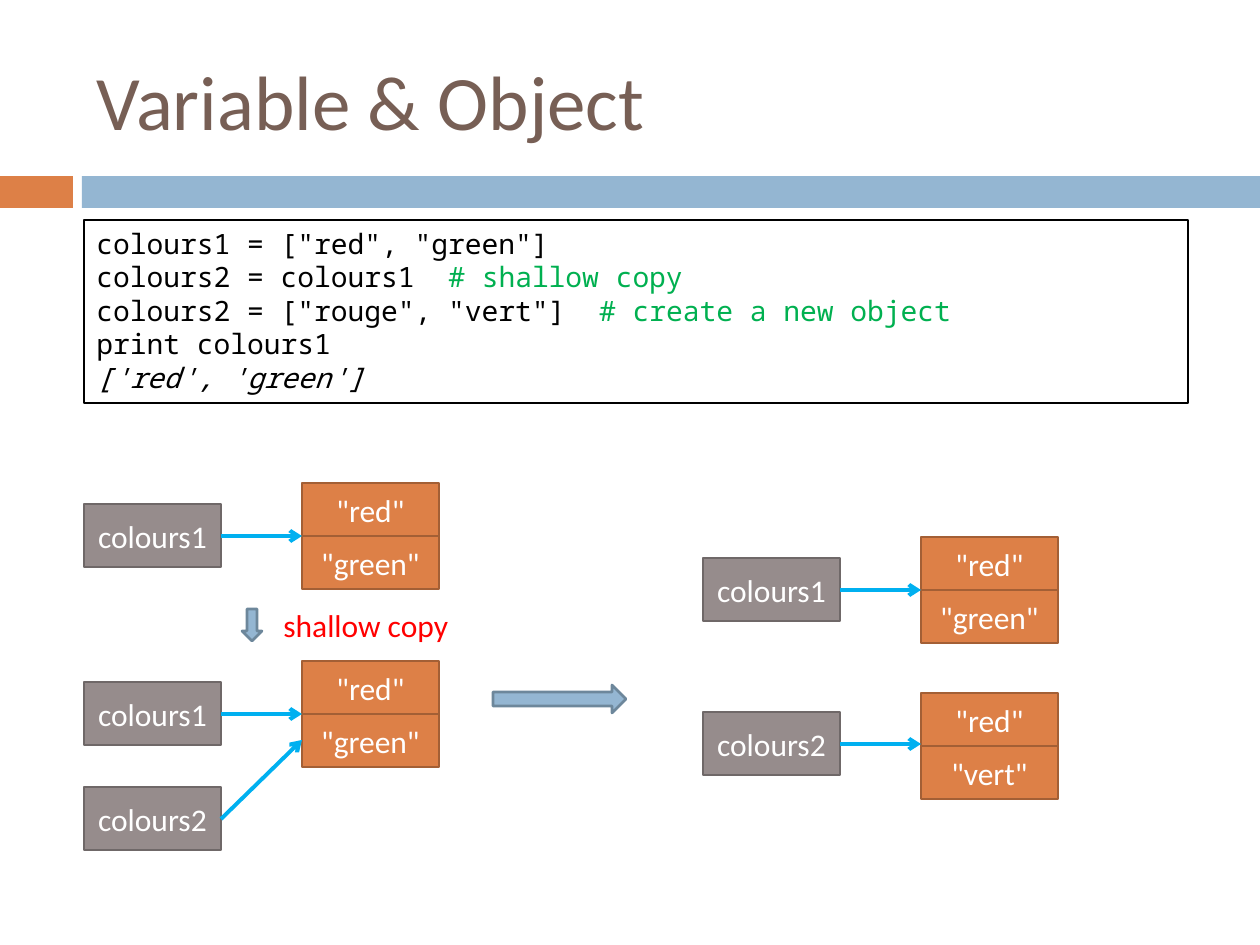
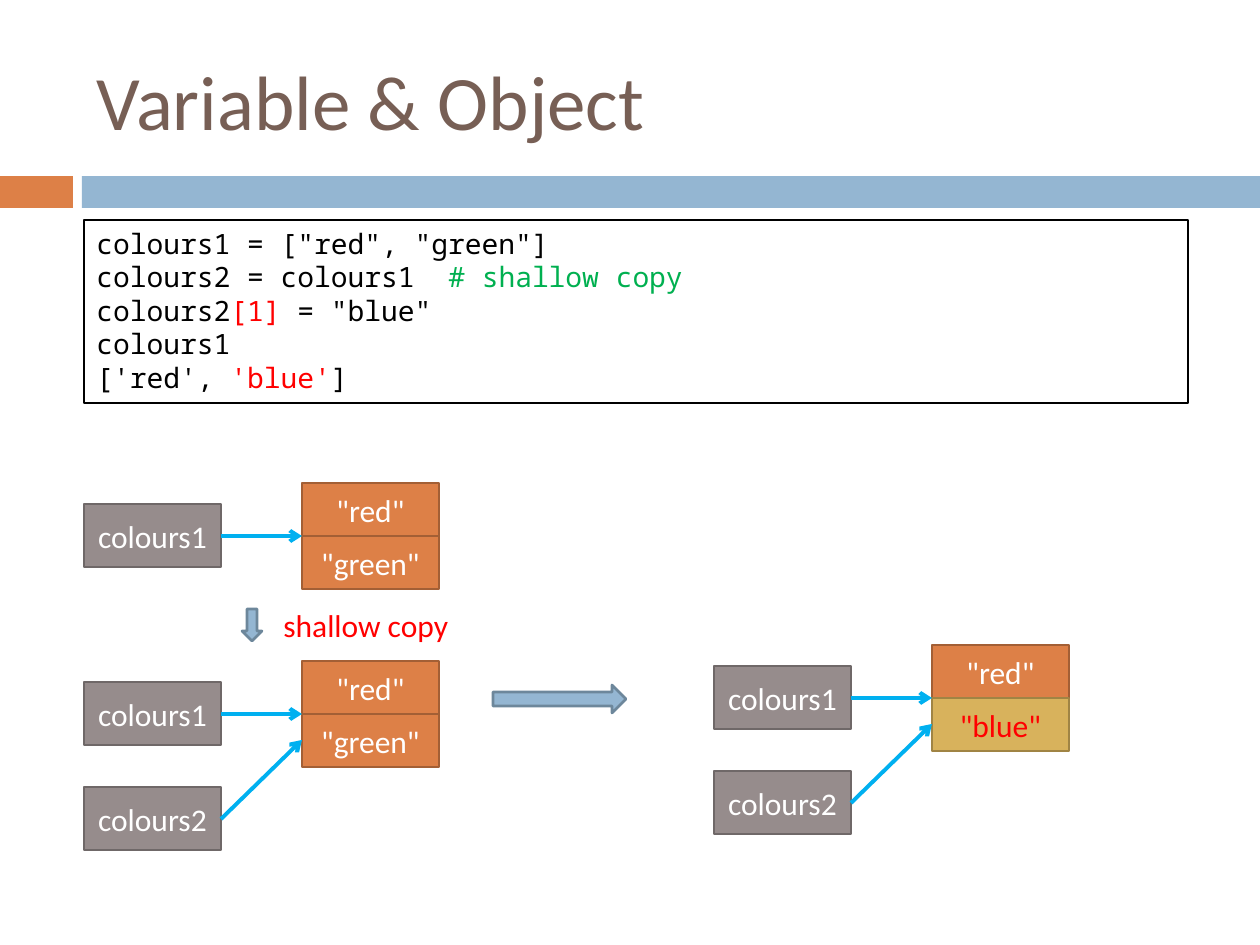
"""Build two slides on variables, objects and shallow copies."""
from lxml import etree
from pptx import Presentation
from pptx.dml.color import RGBColor
from pptx.enum.shapes import MSO_CONNECTOR, MSO_SHAPE
from pptx.enum.text import MSO_ANCHOR, PP_ALIGN
from pptx.oxml.ns import qn
from pptx.util import Emu, Pt

PX = 914400 / 126
SANS, MONO = "Calibri", "Noto Sans Mono"
WHITE = RGBColor(0xFF, 0xFF, 0xFF)
BLACK = RGBColor(0x00, 0x00, 0x00)
RED = RGBColor(0xFF, 0x00, 0x00)
GREEN = RGBColor(0x00, 0xB0, 0x50)
BROWN = RGBColor(0x77, 0x5F, 0x55)
ORANGE = RGBColor(0xDD, 0x80, 0x47)
DARK_ORANGE = RGBColor(0xA3, 0x5F, 0x35)
BLUE = RGBColor(0x94, 0xB6, 0xD2)
DARK_BLUE = RGBColor(0x6D, 0x87, 0x9B)
GREY = RGBColor(0x96, 0x8C, 0x8C)
DARK_GREY = RGBColor(0x6F, 0x68, 0x68)
GOLD = RGBColor(0xD8, 0xB2, 0x5C)
DARK_GOLD = RGBColor(0xA0, 0x84, 0x44)
CYAN = RGBColor(0x00, 0xB0, 0xF0)

NAME_W, NAME_H, CELL_H, OBJECT_DX = 137, 63, 53, 218


def add_box(shapes, kind, area, fill, border=None):
    shape = shapes.add_shape(kind, *[Emu(round(v * PX)) for v in area])
    shape.shadow.inherit = False
    shape.fill.solid()
    shape.fill.fore_color.rgb = fill
    if border is None:
        shape.line.fill.background()
    else:
        shape.line.color.rgb = border
        shape.line.width = Pt(1.5)
    return shape


def write(frame, lines, font, size, align):
    for i, line in enumerate(lines):
        paragraph = frame.paragraphs[0] if i == 0 else frame.add_paragraph()
        paragraph.alignment = align
        for text, color, *italic in line:
            run = paragraph.add_run()
            run.text = text
            run.font.name = font
            run.font.size = Pt(size)
            run.font.color.rgb = color
            if italic:
                run.font.italic = True


ONE_NAME = [("colours1", 21, 53)]
TWO_NAMES = ONE_NAME + [("colours2", 126, 79)]
RED_ITEM = ('"red"', ORANGE, DARK_ORANGE, WHITE)
GREEN_ITEM = ('"green"', ORANGE, DARK_ORANGE, WHITE)
VERT_ITEM = ('"vert"', ORANGE, DARK_ORANGE, WHITE)
BLUE_ITEM = ('"blue"', GOLD, DARK_GOLD, RED)

SHARED_CODE = [
    [('colours1 = ["red", "green"]', BLACK)],
    [("colours2 = colours1  ", BLACK), ("# shallow copy", GREEN)],
]
SHARED_STATES = [
    (84, 483, ONE_NAME, [RED_ITEM, GREEN_ITEM]),
    (84, 661, TWO_NAMES, [RED_ITEM, GREEN_ITEM]),
]
SLIDES = [
    (
        [
            [('colours2 = ["rouge", "vert"]  ', BLACK), ("# create a new object", GREEN)],
            [("print colours1", BLACK)],
            [("['red', 'green']", BLACK, True)],
        ],
        [
            (703, 537, ONE_NAME, [RED_ITEM, GREEN_ITEM]),
            (703, 693, [("colours2", 19, 51)], [RED_ITEM, VERT_ITEM]),
        ],
    ),
    (
        [
            [("colours2", BLACK), ("[1] ", RED), ('= "blue"', BLACK)],
            [("colours1", BLACK)],
            [("['red', ", BLACK), ("'blue'", RED), ("]", BLACK)],
        ],
        [(714, 645, TWO_NAMES, [RED_ITEM, BLUE_ITEM])],
    ),
]

prs = Presentation()
prs.slide_width, prs.slide_height = Emu(round(1260 * PX)), Emu(round(945 * PX))
layout = prs.slide_layouts.get_by_name("Title Only")
layout_title = layout.placeholders[0]
layout_title.left, layout_title.top = Emu(round(84 * PX)), Emu(round(32 * PX))
layout_title.width, layout_title.height = Emu(round(1124 * PX)), Emu(round(136 * PX))
layout_title.text_frame.vertical_anchor = MSO_ANCHOR.MIDDLE

for number, (code, states) in enumerate(SLIDES):
    slide = prs.slides.add_slide(layout)
    if number == 0:
        for left, width, color in [(0, 73, ORANGE), (82, 1178, BLUE)]:
            band = add_box(slide.shapes, MSO_SHAPE.RECTANGLE, (left, 176, width, 32), color)
            layout.shapes.element.append(band.element)

    title = slide.shapes.title.text_frame
    write(title, [[("Variable & Object", BROWN)]], SANS, 44, PP_ALIGN.LEFT)

    listing = add_box(slide.shapes, MSO_SHAPE.RECTANGLE, (84, 220, 1104, 183), WHITE, BLACK)
    listing.text_frame.vertical_anchor = MSO_ANCHOR.TOP
    write(listing.text_frame, SHARED_CODE + code, MONO, 16, PP_ALIGN.JUSTIFY)
    for paragraph in listing.text_frame.paragraphs:
        paragraph.line_spacing = Pt(19.15)

    for left, top, names, items in SHARED_STATES + states:
        shapes = slide.shapes.add_group_shape().shapes
        object_left = left + OBJECT_DX
        for row, (text, fill, border, color) in enumerate(items):
            area = (object_left, top + row * CELL_H, NAME_W, CELL_H)
            cell = add_box(shapes, MSO_SHAPE.RECTANGLE, area, fill, border)
            cell.text_frame.vertical_anchor = MSO_ANCHOR.MIDDLE
            write(cell.text_frame, [[(text, color)]], SANS, 18, PP_ALIGN.CENTER)
        for text, name_dy, target_dy in names:
            area = (left, top + name_dy, NAME_W, NAME_H)
            name = add_box(shapes, MSO_SHAPE.RECTANGLE, area, GREY, DARK_GREY)
            name.text_frame.vertical_anchor = MSO_ANCHOR.MIDDLE
            write(name.text_frame, [[(text, WHITE)]], SANS, 18, PP_ALIGN.CENTER)
            ends = (left + NAME_W, top + name_dy + 32, object_left, top + target_dy)
            reference = shapes.add_connector(
                MSO_CONNECTOR.STRAIGHT, *[Emu(round(v * PX)) for v in ends])
            reference.line.color.rgb = CYAN
            reference.line.width = Pt(2.25)
            properties = reference.element.spPr
            etree.SubElement(properties.find(qn("a:ln")), qn("a:tailEnd"), type="arrow")
            etree.SubElement(properties, qn("a:effectLst"))

    add_box(slide.shapes, MSO_SHAPE.DOWN_ARROW, (242, 609, 20, 32), BLUE, DARK_BLUE)
    add_box(slide.shapes, MSO_SHAPE.RIGHT_ARROW, (493, 685, 133, 28), BLUE, DARK_BLUE)

    label = slide.shapes.add_textbox(*[Emu(round(v * PX)) for v in (271, 609, 289, 32)])
    label.text_frame.word_wrap = True
    label.text_frame.vertical_anchor = MSO_ANCHOR.MIDDLE
    write(label.text_frame, [[("shallow copy", RED)]], SANS, 18, PP_ALIGN.JUSTIFY)

prs.save("out.pptx")
